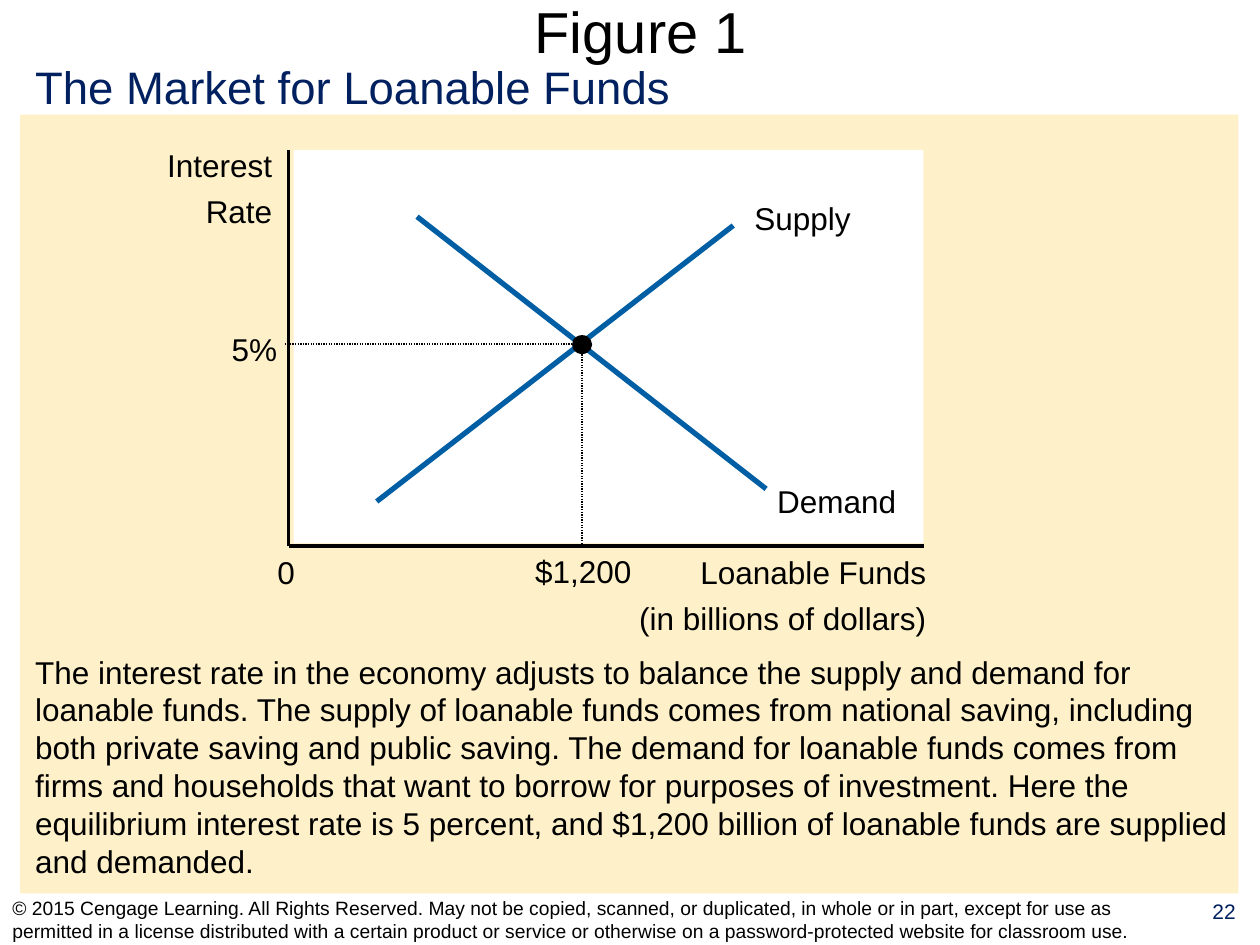
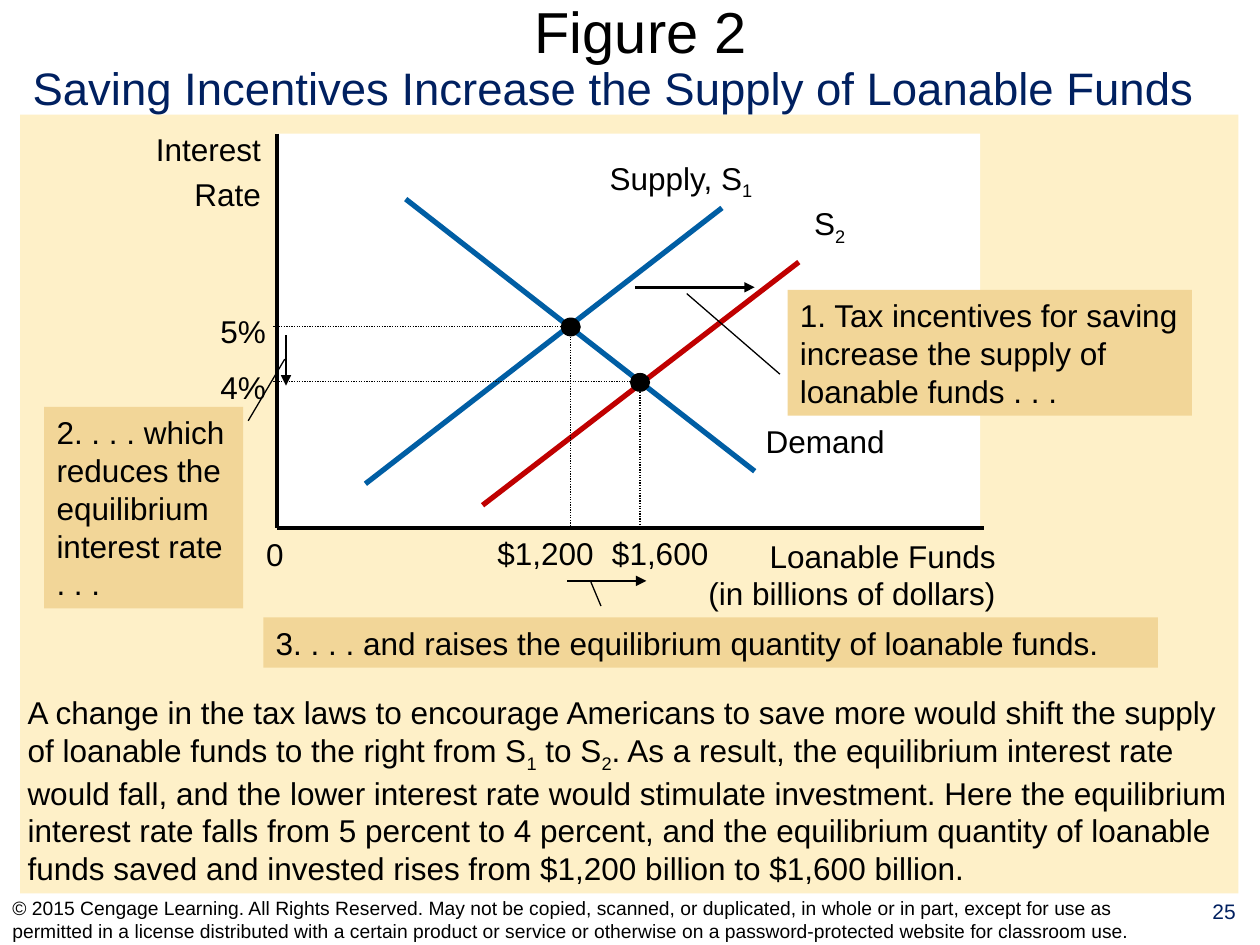
import pptx
import pptx.util
import pptx.dml.color
import pptx.enum.dml
import pptx.enum.shapes
import pptx.enum.text
import pptx.oxml
import pptx.oxml.ns
import lxml.etree

Inches = pptx.util.Inches
Pt = pptx.util.Pt
RGBColor = pptx.dml.color.RGBColor
Align = pptx.enum.text.PP_ALIGN
Anchor = pptx.enum.text.MSO_ANCHOR
Shape = pptx.enum.shapes.MSO_SHAPE
qn = pptx.oxml.ns.qn

BLACK = RGBColor(0x00, 0x00, 0x00)
WHITE = RGBColor(0xFF, 0xFF, 0xFF)
NAVY = RGBColor(0x00, 0x20, 0x60)
BLUE = RGBColor(0x00, 0x5E, 0xA4)
RED = RGBColor(0xC0, 0x00, 0x00)
CREAM = RGBColor(0xFE, 0xF0, 0xC8)
TAN = RGBColor(0xF2, 0xD6, 0x98)
FONT = "Arial"

COPYRIGHT = (
    "© 2015 Cengage Learning. All Rights Reserved. May not be copied, scanned, or "
    "duplicated, in whole or in part, except for use as permitted in a license "
    "distributed with a certain product or service or otherwise on a "
    "password-protected website for classroom use."
)

FIGURES = [
    {
        "title": "Figure 1",
        "number": "22",
        "subtitle": ("The Market for Loanable Funds", (0.18, 0.42, 9.65, 0.54)),
        "origin": (2.29, 4.33),
        "plot": (2.33, 1.19, 5, 3.12),
        "axis_end": 7.33,
        "quantity_title": ((4.97, 4.34, 2.48, 0.77), 4.5),
        "labels": [
            ("Supply", (5.89, 1.53, 0.96, 0.4)),
            ("Demand", (6.07, 3.78, 1.14, 0.4)),
        ],
        "new_supply": None,
        "equilibria": [("5%", "$1,200", 2.33, 1.6, 4.15)],
        "callouts": [],
        "summary": (
            "The interest rate in the economy adjusts to balance the supply and demand "
            "for loanable funds. The supply of loanable funds comes from national saving, "
            "including both private saving and public saving. The demand for loanable "
            "funds comes from firms and households that want to borrow for purposes of "
            "investment. Here the equilibrium interest rate is 5 percent, and $1,200 "
            "billion of loanable funds are supplied and demanded.",
            (0.18, 5.13, 9.81, 1.9),
        ),
    },
    {
        "title": "Figure 2",
        "number": "25",
        "subtitle": (
            "Saving Incentives Increase the Supply of Loanable Funds",
            (0.16, 0.43, 9.69, 0.54),
        ),
        "origin": (2.2, 4.19),
        "plot": (2.2, 1.06, 5.58, 3.12),
        "axis_end": 7.81,
        "quantity_title": ((5.52, 4.21, 2.48, 0.7), 0),
        "labels": [
            ("Supply, S_1", (4.73, 1.21, 1.35, 0.44)),
            ("Demand", (5.98, 3.3, 1.14, 0.4)),
            ("S_2", (6.36, 1.57, 0.45, 0.44)),
        ],
        "new_supply": ((3.83, 4.01), (6.34, 2.08)),
        "equilibria": [
            ("5%", "$1,200", 2.33, 1.6, 3.85),
            ("4%", "$1,600", 2.88, 1.16, 4.76),
        ],
        "callouts": [
            {
                "text": "1. Tax incentives for saving increase the supply of loanable funds . . .",
                "at": (6.25, 2.3, 3.21, 1),
                "arrow": ((5.04, 2.28), (5.99, 2.28)),
                "leader": ((5.45, 2.33), (6.19, 2.97)),
            },
            {
                "text": "2. . . . which reduces the equilibrium interest rate . . .",
                "at": (0.35, 3.23, 1.58, 1.6),
                "arrow": ((2.27, 2.66), (2.27, 3.06)),
                "leader": ((2.26, 2.85), (1.97, 3.34)),
            },
            {
                "text": "3. . . . and raises the equilibrium quantity of loanable funds.",
                "at": (2.09, 4.9, 7.1, 0.4),
                "arrow": ((4.5, 4.61), (5.13, 4.61)),
                "leader": ((4.69, 4.62), (4.77, 4.81)),
            },
        ],
        "summary": (
            "A change in the tax laws to encourage Americans to save more would shift the "
            "supply of loanable funds to the right from S_1 to S_2. As a result, the "
            "equilibrium interest rate would fall, and the lower interest rate would "
            "stimulate investment. Here the equilibrium interest rate falls from 5 percent "
            "to 4 percent, and the equilibrium quantity of loanable funds saved and "
            "invested rises from $1,200 billion to $1,600 billion.",
            (0.12, 5.45, 9.82, 1.64),
        ),
    },
]

SUPPLY = ((0.7, 0.35), (3.53, 2.54))
DEMAND = ((1.02, 2.61), (3.79, 0.45))


def write(box, text, size=18, color=BLACK, align=Align.LEFT, anchor=Anchor.TOP,
          wrap=True, gap=0):
    frame = box.text_frame
    frame.word_wrap = wrap
    frame.auto_size = pptx.enum.text.MSO_AUTO_SIZE.NONE
    frame.vertical_anchor = anchor
    for index, line in enumerate(text.split("\n")):
        para = frame.paragraphs[0] if index == 0 else frame.add_paragraph()
        para.alignment = align
        if index:
            para.space_before = Pt(gap)
        first, *rest = line.split("_")
        pieces = [(first, False)]
        for part in rest:
            pieces += [(part[0], True), (part[1:], False)]
        for piece, lowered in pieces:
            if not piece:
                continue
            span = para.add_run()
            span.text = piece
            span.font.name = FONT
            span.font.size = Pt(size)
            span.font.color.rgb = color
            if lowered:
                span._r.get_or_add_rPr().set("baseline", "-25000")


def add_text(page, text, at, **style):
    box = page.shapes.add_textbox(*map(Inches, at))
    write(box, text, **style)
    return box


def add_block(page, at, fill, kind=Shape.RECTANGLE):
    block = page.shapes.add_shape(kind, *map(Inches, at))
    block.shadow.inherit = False
    block.fill.solid()
    block.fill.fore_color.rgb = fill
    block.line.fill.background()
    return block


def add_line(page, start, end, color=BLACK, width=0.75, dotted=False, arrow=False):
    line = page.shapes.add_connector(
        pptx.enum.shapes.MSO_CONNECTOR.STRAIGHT, *map(Inches, (*start, *end)))
    line.line.color.rgb = color
    line.line.width = Pt(width)
    if dotted:
        line.line.dash_style = pptx.enum.dml.MSO_LINE.ROUND_DOT
    properties = line.element.find(qn("p:spPr"))
    if arrow:
        lxml.etree.SubElement(properties.find(qn("a:ln")), qn("a:tailEnd"), type="triangle")
    lxml.etree.SubElement(properties, qn("a:effectLst"))


def add_frame(page, figure):
    add_block(page, (0.16, 0.91, 9.67, 6.18), CREAM)
    title = page.shapes.title
    title.left, title.top, title.width, title.height = map(Inches, (0.35, 0, 9.47, 0.49))
    write(title, figure["title"], size=33, align=Align.CENTER, anchor=Anchor.MIDDLE)
    add_text(page, figure["number"], (9.43, 7.08, 0.57, 0.41), size=12, color=NAVY,
             align=Align.CENTER)
    add_text(page, COPYRIGHT, (0, 7.1, 9.42, 0.4), size=11, anchor=Anchor.MIDDLE)
    subtitle, place = figure["subtitle"]
    add_text(page, subtitle, place, size=26, color=NAVY)


def add_market(page, figure):
    left, base = figure["origin"]
    plot = figure["plot"]
    add_block(page, plot, WHITE)
    add_line(page, (left, plot[1]), (left, base), width=2.25)
    add_line(page, (left, base), (figure["axis_end"], base), width=2.25)
    add_text(page, "Interest\nRate", (left - 1.06, plot[1] - 0.08, 1.03, 0.77),
             align=Align.RIGHT, wrap=False, gap=4.5)
    place, gap = figure["quantity_title"]
    add_text(page, "Loanable Funds\n(in billions of dollars)", place,
             align=Align.RIGHT, wrap=False, gap=gap)
    add_text(page, "0", (left - 0.19, base + 0.01, 0.34, 0.4), align=Align.RIGHT, wrap=False)
    for curve in (SUPPLY, DEMAND):
        start, end = [(left + x, base - y) for x, y in curve]
        add_line(page, start, end, color=BLUE, width=3)
    if figure["new_supply"]:
        add_line(page, *figure["new_supply"], color=RED, width=3)
    for label, place in figure["labels"]:
        add_text(page, label, place, align=Align.CENTER, wrap=False)
    for rate, quantity, across, up, quantity_left in figure["equilibria"]:
        x, y = left + across, base - up
        add_line(page, (left - 0.03, y), (x, y), dotted=True)
        add_line(page, (x, y), (x, base), dotted=True)
        add_block(page, (x - 0.08, y - 0.07, 0.16, 0.15), BLACK, Shape.OVAL)
        add_text(page, rate, (left - 0.55, y - 0.16, 0.56, 0.4),
                 align=Align.CENTER, wrap=False)
        add_text(page, quantity, (quantity_left, base, 0.96, 0.4),
                 align=Align.CENTER, wrap=False)


def add_callout(page, callout):
    add_line(page, *callout["arrow"], width=1.5, arrow=True)
    write(add_block(page, callout["at"], TAN), callout["text"])
    add_line(page, *callout["leader"])


def main():
    deck = pptx.Presentation()
    deck.slide_width, deck.slide_height = Inches(10), Inches(7.5)
    title_only = deck.slide_layouts[5]
    for figure in FIGURES:
        page = deck.slides.add_slide(title_only)
        add_frame(page, figure)
        add_market(page, figure)
        for callout in figure["callouts"]:
            add_callout(page, callout)
        add_text(page, *figure["summary"])
    deck.save("out.pptx")


if __name__ == "__main__":
    main()
